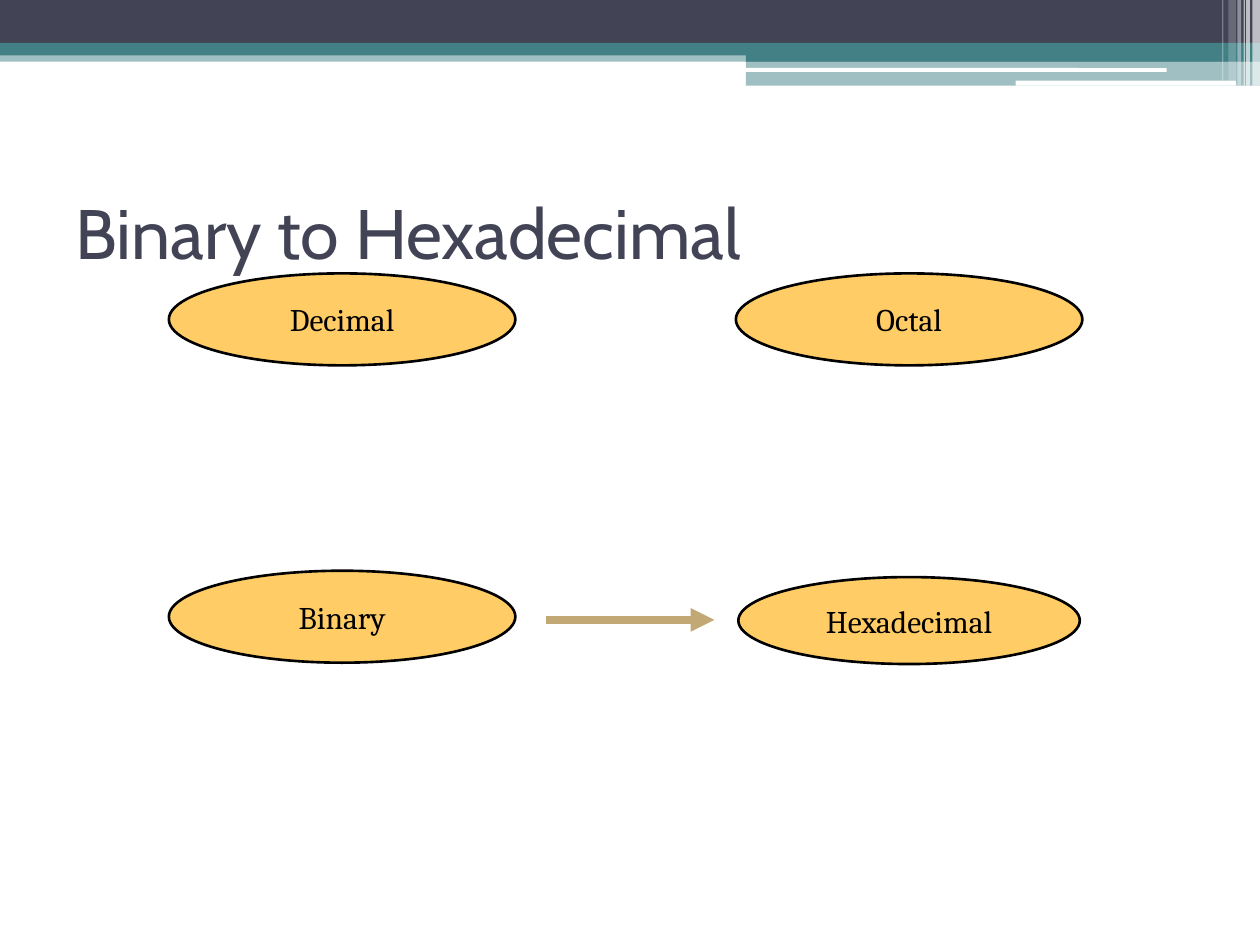
"""Builds the Binary to Hexadecimal slide on a grid of 100 columns by 75 rows."""
import pptx
import pptx.util
import pptx.dml.color
import pptx.enum.shapes
import pptx.enum.text
import pptx.oxml
import pptx.oxml.ns

COLORS = {"navy": "424456", "teal": "438086", "white": "FFFFFF",
          "amber": "FFCC66", "black": "000000", "tan": "C2A874"}
COLUMNS, ROWS = 100, 75
TITLE = "Binary to Hexadecimal"
TITLE_BOX = (5, 12.5, 90, 11.7)
BANDS = [
    ((0, 4, 100, 0.9), "teal", 50),
    ((0, 0, 100, 3.4), "navy", 100),
    ((0, 3.4, 100, 1), "teal", 100),
    ((59.2, 3.9, 40.8, 1), "teal", 100),
    ((59.2, 4.8, 40.8, 2), "teal", 50),
]
RULES = [(59.1, 5.4, 33.5, 0.3), (80.6, 6.4, 17.5, 0.4)]
STRIPES = [(99.4, 0.6, 6.8, 65), (98.9, 0.3, 6.8, 65), (98.7, 0.1, 6.8, 60),
           (98.2, 0.3, 6.8, 40), (97.5, 0.6, 6.4, 20), (97, 0.1, 6.4, 30)]
LEFT_CENTER, RIGHT_CENTER = 27.15, 72.15
TOP_CENTER, BOTTOM_CENTER = 25.35, 48.95
NUMBER_SYSTEMS = [
    ("Hexadecimal", RIGHT_CENTER, 49.25, 27.1, 6.9),
    ("Decimal", LEFT_CENTER, TOP_CENTER, 27.5, 7.3),
    ("Octal", RIGHT_CENTER, TOP_CENTER, 27.5, 7.3),
    ("Binary", LEFT_CENTER, BOTTOM_CENTER, 27.5, 7.3),
]
ARROW = (43.3, 49.2, 56.7, 49.2)
SHAPES = pptx.enum.shapes.MSO_SHAPE

deck = pptx.Presentation()
deck.slide_width = pptx.util.Inches(10)
deck.slide_height = pptx.util.Inches(7.5)
slide = deck.slides.add_slide(deck.slide_layouts[6])


def on_grid(box):
    units = (deck.slide_width / COLUMNS, deck.slide_height / ROWS) * 2
    return [round(length * unit) for length, unit in zip(box, units)]


def color(name):
    return pptx.dml.color.RGBColor.from_string(COLORS[name])


def add_xml(parent, tag, **attributes):
    element = pptx.oxml.parse_xml(f"<a:{tag} {pptx.oxml.ns.nsdecls('a')}/>")
    for key, value in attributes.items():
        element.set(key, value)
    parent.append(element)


def add_filled(kind, box, fill, opacity=100):
    shape = slide.shapes.add_shape(kind, *on_grid(box))
    shape.shadow.inherit = False
    shape.fill.solid()
    shape.fill.fore_color.rgb = color(fill)
    shape.line.fill.background()
    if opacity < 100:
        tint = shape.fill._xPr.find(".//" + pptx.oxml.ns.qn("a:srgbClr"))
        add_xml(tint, "alpha", val=str(opacity * 1000))
    return shape


def write(shape, text, size, font, ink, align, wrap):
    frame = shape.text_frame
    frame.text = text
    frame.word_wrap = wrap
    frame.vertical_anchor = pptx.enum.text.MSO_ANCHOR.MIDDLE
    frame.paragraphs[0].alignment = align
    run = frame.paragraphs[0].runs[0]
    run.font.size = pptx.util.Pt(size)
    run.font.name = font
    run.font.color.rgb = color(ink)


for box, fill, opacity in BANDS:
    add_filled(SHAPES.RECTANGLE, box, fill, opacity)
for box in RULES:
    add_filled(SHAPES.ROUNDED_RECTANGLE, box, "white")
for left, width, height, opacity in STRIPES:
    add_filled(SHAPES.RECTANGLE, (left, 0, width, height), "white", opacity)

title = slide.shapes.add_textbox(*on_grid(TITLE_BOX))
write(title, TITLE, 40, "Cabin", "navy", pptx.enum.text.PP_ALIGN.LEFT, True)

for label, center_x, center_y, width, height in NUMBER_SYSTEMS:
    box = (center_x - width / 2, center_y - height / 2, width, height)
    system = add_filled(SHAPES.OVAL, box, "amber")
    system.line.color.rgb = color("black")
    system.line.width = pptx.util.Pt(1.5)
    write(system, label, 18, "Cambria", "black", pptx.enum.text.PP_ALIGN.CENTER, False)

arrow = slide.shapes.add_connector(pptx.enum.shapes.MSO_CONNECTOR.STRAIGHT, *on_grid(ARROW))
arrow.line.color.rgb = color("tan")
arrow.line.width = pptx.util.Pt(4.5)
add_xml(arrow.line._get_or_add_ln(), "tailEnd", type="triangle")
add_xml(arrow._element.spPr, "effectLst")

deck.save("out.pptx")
